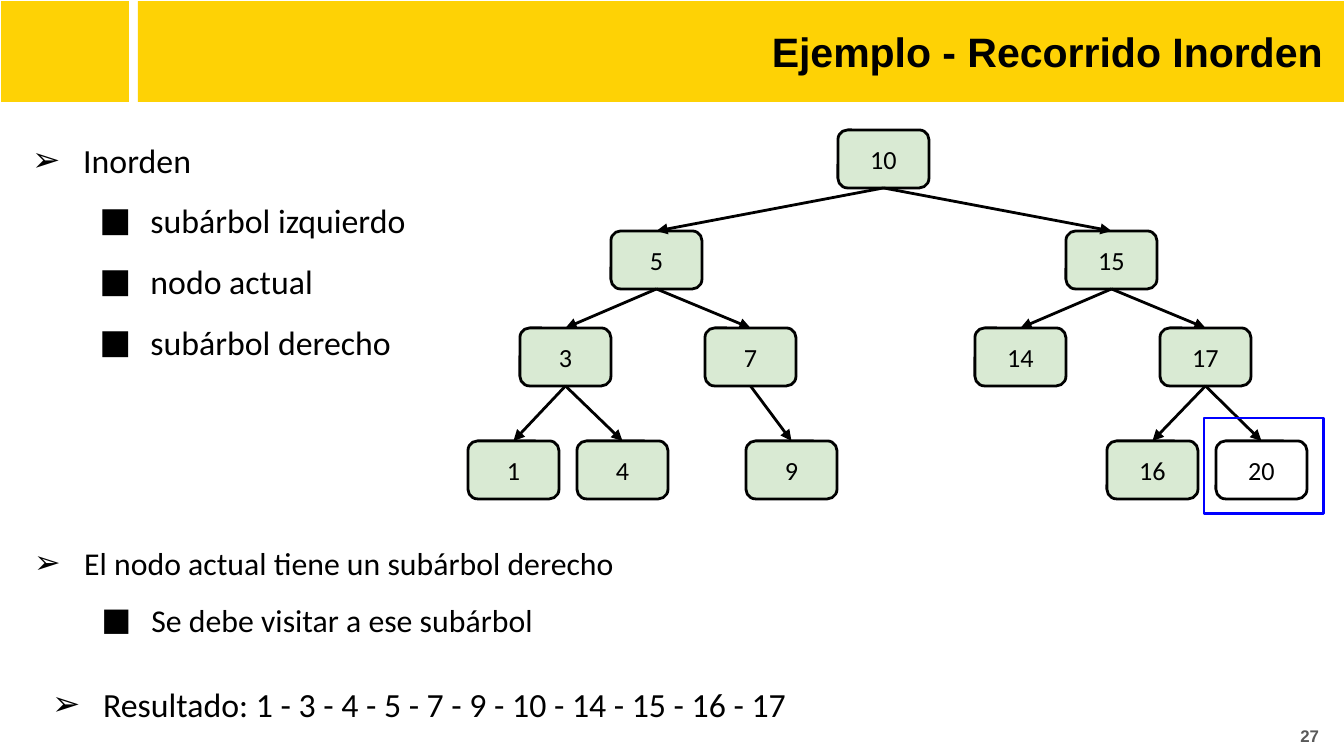
"""Build a slide on the inorder walk of a binary search tree."""
from lxml.etree import SubElement
from pptx import Presentation
from pptx.dml.color import RGBColor
from pptx.enum.shapes import MSO_CONNECTOR, MSO_SHAPE
from pptx.enum.text import MSO_ANCHOR, PP_ALIGN
from pptx.oxml.ns import qn
from pptx.util import Emu, Pt

SCALE = 914400 / 134.4
BLACK, WHITE, GOLD, GREEN, BLUE, GRAY = (
    "000000", "FFFFFF", "FED205", "D9EAD3", "0000FF", "595959")

BANDS = [(138, 1, 1206, 101), (1, 1, 128, 101)]
LABELS = [
    ("Ejemplo - Recorrido Inorden", (145, 9, 1191, 85), 22, BLACK),
    ("27", (1273, 707, 59, 58), 9, GRAY),
]
LISTS = [
    ((4, 512, 1340, 243), 17, 50, [
        (0, "El nodo actual tiene un subárbol derecho"),
        (1, "Se debe visitar a ese subárbol")]),
    ((3, 106, 575, 243), 18.1, 51, [
        (0, "Inorden"),
        (1, "subárbol izquierdo"),
        (1, "nodo actual"),
        (1, "subárbol derecho")]),
    ((23, 650, 1275, 85), 18.1, 51, [
        (0, "Resultado: 1 - 3 - 4 - 5 - 7 - 9 - 10 - 14 - 15 - 16 - 17")]),
]
ROWS = [
    (130, {10: 838}),
    (231, {5: 611, 15: 1066}),
    (328, {3: 520, 7: 705, 14: 975, 17: 1160}),
    (441, {1: 468, 4: 577, 9: 746, 16: 1107, 20: 1216}),
]
NODE = (91, 58)
TREE = {10: (5, 15), 5: (3, 7), 15: (14, 17), 3: (1, 4), 7: (9,), 17: (16, 20)}
LAST = 20
FRAME = (1204, 418, 120, 96)
MARKS = "➢■"


def px(num):
    return Emu(round(num * SCALE))


def paint(part, color):
    part.solid()
    part.fore_color.rgb = RGBColor.from_string(color)


def add_run(para, text, size, face, color, bold=False):
    font = para.add_run()
    font.text = text
    font = font.font
    font.size, font.name, font.bold = Pt(size), face, bold
    font.color.rgb = RGBColor.from_string(color)


def set_up(shape, anchor, foot=13):
    frame = shape.text_frame
    frame.word_wrap = True
    frame.vertical_anchor = anchor
    frame.margin_left = frame.margin_top = frame.margin_right = px(13)
    frame.margin_bottom = px(foot)
    return frame


def add_box(shapes, kind, area, fill=None, line=None):
    box = shapes.add_shape(kind, *map(px, area))
    box.shadow.inherit = False
    if fill:
        paint(box.fill, fill)
    else:
        box.fill.background()
    if line:
        paint(box.line.fill, line)
        box.line.width = Pt(1.5)
    else:
        box.line.fill.background()
    return box


def add_node(shapes, key, left, top):
    fill = WHITE if key == LAST else GREEN
    box = add_box(shapes, MSO_SHAPE.ROUNDED_RECTANGLE, (left, top, *NODE), fill, BLACK)
    para = set_up(box, MSO_ANCHOR.MIDDLE).paragraphs[0]
    para.alignment = PP_ALIGN.CENTER
    add_run(para, str(key), 14, "Calibri", BLACK)
    return box


def add_edge(shapes, start, end):
    edge = shapes.add_connector(MSO_CONNECTOR.STRAIGHT, 0, 0, 0, 0)
    edge.begin_connect(start, 2)
    edge.end_connect(end, 0)
    paint(edge.line.fill, BLACK)
    edge.line.width = Pt(1.5)
    SubElement(edge.line._get_or_add_ln(), qn("a:tailEnd"), type="triangle")
    SubElement(edge._element.spPr, qn("a:effectLst"))


def add_label(shapes, text, area, size, color):
    box = shapes.add_textbox(*map(px, area))
    para = set_up(box, MSO_ANCHOR.MIDDLE).paragraphs[0]
    para.alignment = PP_ALIGN.RIGHT
    add_run(para, text, size, "Arial", color, True)


def add_list(shapes, area, size, hang, items):
    frame = set_up(shapes.add_textbox(*map(px, area)), MSO_ANCHOR.TOP, 3)
    for pos, (level, text) in enumerate(items):
        para = frame.add_paragraph() if pos else frame.paragraphs[0]
        para.level, para.line_spacing = level, 1.5
        props = para._p.get_or_add_pPr()
        props.set("marL", str(px(67.2 * (level + 1))))
        props.set("indent", str(px(-hang)))
        SubElement(SubElement(props, qn("a:buClr")), qn("a:srgbClr"), val=BLACK)
        SubElement(props, qn("a:buFont"), typeface="Calibri")
        SubElement(props, qn("a:buChar"), char=MARKS[level])
        add_run(para, text, size, "Calibri", BLACK)


def main():
    deck = Presentation()
    deck.slide_width, deck.slide_height = px(1344), px(756)
    shapes = deck.slides.add_slide(deck.slide_layouts[6]).shapes
    for area in BANDS:
        add_box(shapes, MSO_SHAPE.RECTANGLE, area, GOLD)
    for label in LABELS:
        add_label(shapes, *label)
    nodes = {key: add_node(shapes, key, left, top)
             for top, row in ROWS for key, left in row.items()}
    for key, kids in TREE.items():
        for kid in kids:
            add_edge(shapes, nodes[key], nodes[kid])
    for block in LISTS:
        add_list(shapes, *block)
    add_box(shapes, MSO_SHAPE.RECTANGLE, FRAME, line=BLUE)
    deck.save("out.pptx")


if __name__ == "__main__":
    main()
